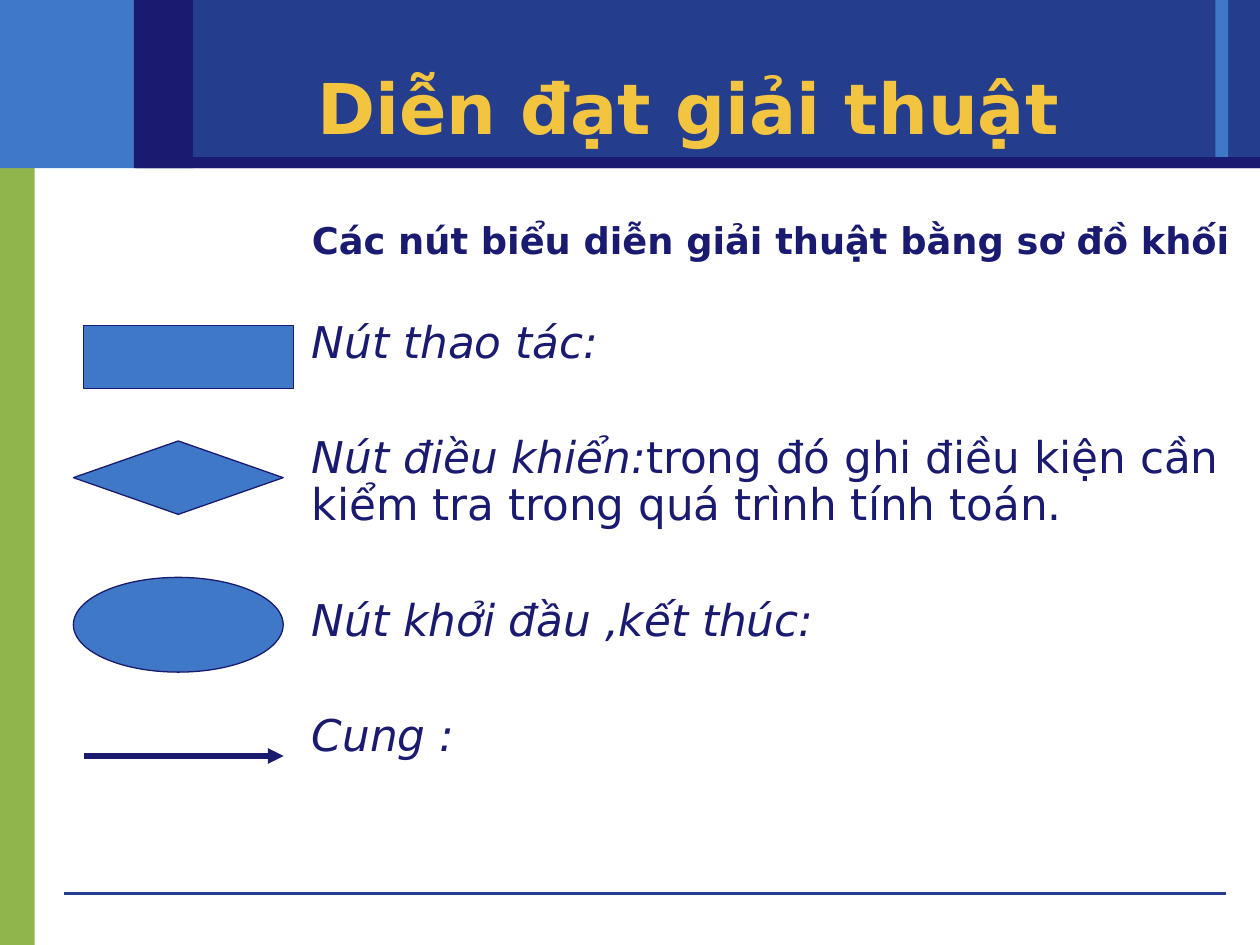
from lxml.etree import SubElement
from pptx import Presentation
from pptx.dml.color import RGBColor
from pptx.enum.shapes import MSO_CONNECTOR, MSO_SHAPE
from pptx.enum.text import MSO_ANCHOR, PP_ALIGN
from pptx.oxml.ns import qn
from pptx.util import Cm, Pt

BLUE, ROYAL, NAVY, GREEN, GOLD = "3E78C6", "243D8C", "1A1A70", "90B54D", "F3C43F"


def color(value):
    return RGBColor.from_string(value)


presentation = Presentation()
presentation.slide_width = Cm(25.4)
presentation.slide_height = Cm(19.05)
slide = presentation.slides.add_slide(presentation.slide_layouts[6])

bands = [
    (0, 2.7, 0.7, 16.35, GREEN),
    (0, 0, 3.89, 3.39, BLUE),
    (3.89, 0, 21.51, 3.39, ROYAL),
    (24.5, 0, 0.26, 3.18, BLUE),
    (2.75, 3.17, 22.65, 0.22, NAVY),
    (2.7, 0, 1.19, 3.39, NAVY),
]
for left, top, width, height, fill in bands:
    band = slide.shapes.add_shape(MSO_SHAPE.RECTANGLE, Cm(left), Cm(top), Cm(width), Cm(height))
    band.shadow.inherit = False
    band.fill.solid()
    band.fill.fore_color.rgb = color(fill)
    band.line.fill.background()

title = slide.shapes.add_textbox(Cm(3.81), Cm(1.3), Cm(20.12), Cm(1.68))
title.text_frame.word_wrap = True
title.text_frame.vertical_anchor = MSO_ANCHOR.MIDDLE
paragraph = title.text_frame.paragraphs[0]
paragraph.text = "Diễn đạt giải thuật"
paragraph.alignment = PP_ALIGN.CENTER
paragraph.font.name = "DejaVu Sans"
paragraph.font.size = Pt(40)
paragraph.font.bold = True
paragraph.font.color.rgb = color(GOLD)

body = slide.shapes.add_textbox(Cm(5.08), Cm(4.37), Cm(20.12), Cm(12.07))
body.text_frame.word_wrap = True
body.text_frame.margin_left = Cm(1.21)
entries = [
    ("Các nút biểu diễn giải thuật bằng sơ đồ khối", "", 21, 5.2),
    ("Nút thao tác:", "", 25, 33),
    ("Nút điều khiển:", "trong đó ghi điều kiện cần kiểm tra trong quá trình tính toán.", 25, 39),
    ("Nút khởi đầu ,kết thúc:", "", 25, 39),
    ("Cung :", "", 25, 39),
]
for index, (name, detail, size, gap) in enumerate(entries):
    paragraph = body.text_frame.paragraphs[0] if index == 0 else body.text_frame.add_paragraph()
    paragraph.text = name
    paragraph.line_spacing = 0.9
    paragraph.space_before = Pt(gap)
    paragraph.runs[0].font.bold = index == 0
    paragraph.runs[0].font.italic = index > 0
    if detail:
        paragraph.add_run().text = detail
    for run in paragraph.runs:
        run.font.name = "DejaVu Sans"
        run.font.size = Pt(size)
        run.font.color.rgb = color(NAVY)

nodes = [
    (MSO_SHAPE.RECTANGLE, 1.69, 6.56, 1.27),
    (MSO_SHAPE.FLOWCHART_DECISION, 1.48, 8.89, 1.48),
    (MSO_SHAPE.OVAL, 1.48, 11.64, 1.91),
]
for kind, left, top, height in nodes:
    node = slide.shapes.add_shape(kind, Cm(left), Cm(top), Cm(4.23), Cm(height))
    node.shadow.inherit = False
    node.fill.solid()
    node.fill.fore_color.rgb = color(BLUE)
    node.line.color.rgb = color(NAVY)
    node.line.width = Pt(0.75)

lines = [
    (1.3, 24.71, 18.01, ROYAL, 0, False),
    (1.69, 5.72, 15.24, NAVY, 3, True),
]
for start, end, height, stroke, width, arrow in lines:
    line = slide.shapes.add_connector(MSO_CONNECTOR.STRAIGHT, Cm(start), Cm(height), Cm(end), Cm(height))
    line.line.color.rgb = color(stroke)
    line.line.width = Pt(width)
    if arrow:
        SubElement(line.line._get_or_add_ln(), qn("a:tailEnd"), type="triangle")
    SubElement(line._element.spPr, qn("a:effectLst"))

presentation.save("out.pptx")
